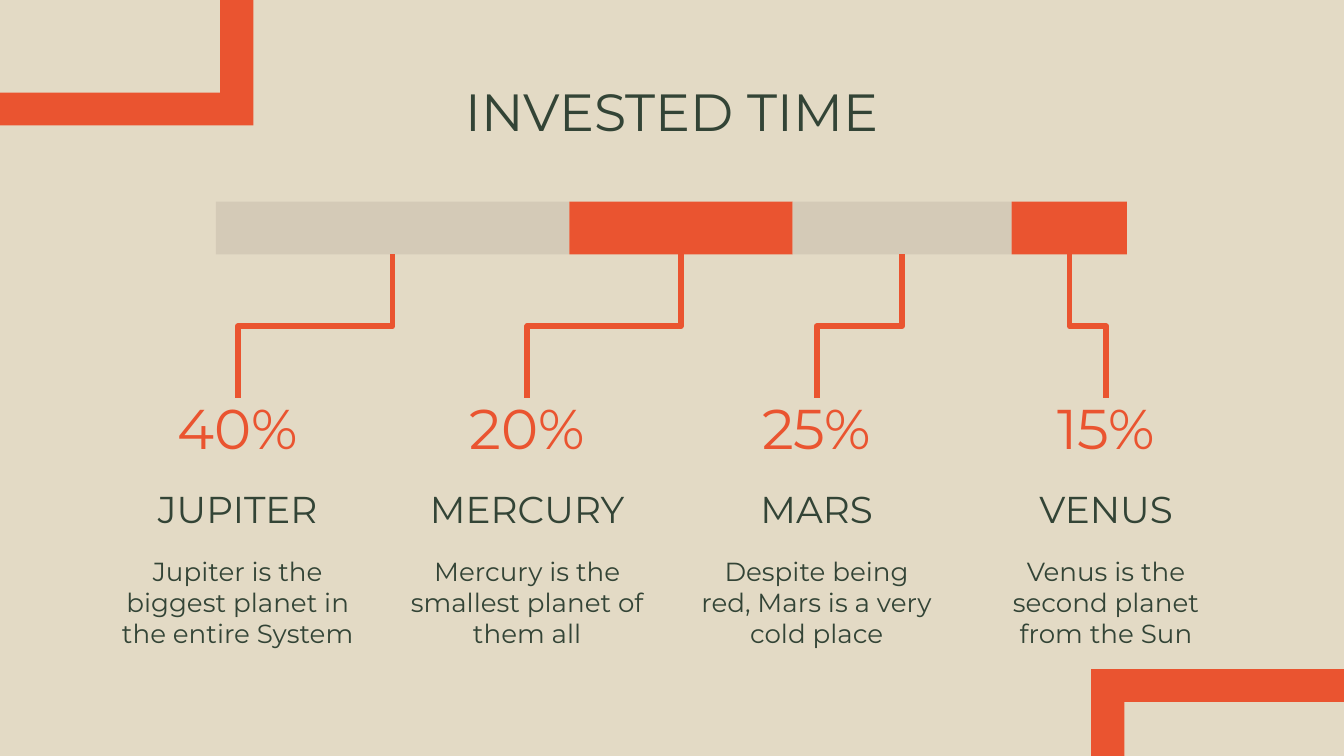
"""Build the "Invested time" slide: a segmented bar with four labelled shares."""
from lxml.etree import SubElement
from pptx import Presentation
from pptx.dml.color import RGBColor
from pptx.enum.shapes import MSO_CONNECTOR, MSO_SHAPE
from pptx.enum.text import MSO_ANCHOR, MSO_AUTO_SIZE, PP_ALIGN
from pptx.oxml.ns import qn
from pptx.util import Cm, Pt

COLORS = {"sand": "E3DAC5", "stone": "D4CAB7", "orange": "EA5430", "green": "334436"}
PAGE_WIDTH, PAGE_HEIGHT = 25.4, 14.29
BAR_LEFT, BAR_TOP, BAR_HEIGHT = 4.08, 3.81, 1
COLUMN_LEFT, COLUMN_WIDTH, COLUMN_PITCH = 1.98, 5.03, 5.47
SHARE_TOP, NAME_TOP, NOTE_TOP = 7.52, 9.17, 10.24
PLANETS = [
    ("40%", "JUPITER", "Jupiter is the biggest planet in the entire System", 6.68, "stone"),
    ("20%", "MERCURY", "Mercury is the smallest planet of them all", 4.22, "orange"),
    ("25%", "MARS", "Despite being red, Mars is a very cold place", 4.14, "stone"),
    ("15%", "VENUS", "Venus is the second planet from the Sun", 2.18, "orange"),
]


class SlideBuilder:
    def __init__(self, page, font="Montserrat"):
        self.page = page
        self.font = font
        fill = page.background.fill
        fill.solid()
        fill.fore_color.rgb = self.color("sand")

    def color(self, name):
        return RGBColor.from_string(COLORS[name])

    def paint(self, shape, color):
        shape.shadow.inherit = False
        shape.fill.solid()
        shape.fill.fore_color.rgb = self.color(color)
        shape.line.fill.background()

    def fill_text(self, box, text, size, color, anchor):
        frame = box.text_frame
        frame.word_wrap = True
        frame.auto_size = MSO_AUTO_SIZE.NONE
        frame.vertical_anchor = anchor
        frame.margin_left = frame.margin_right = Cm(0.25)
        frame.margin_top = frame.margin_bottom = Cm(0.25)
        paragraph = frame.paragraphs[0]
        paragraph.alignment = PP_ALIGN.CENTER
        span = paragraph.add_run()
        span.text = text
        span.font.name = self.font
        span.font.size = Pt(size)
        span.font.color.rgb = self.color(color)

    def title(self, text, left, top, width, height):
        box = self.page.shapes.title
        box.left, box.top, box.width, box.height = Cm(left), Cm(top), Cm(width), Cm(height)
        self.fill_text(box, text, 28, "green", MSO_ANCHOR.TOP)

    def text(self, text, left, top, height, size, color, anchor):
        box = self.page.shapes.add_textbox(Cm(left), Cm(top), Cm(COLUMN_WIDTH), Cm(height))
        self.fill_text(box, text, size, color, anchor)

    def segment(self, left, width, color):
        shape = self.page.shapes.add_shape(
            MSO_SHAPE.RECTANGLE, Cm(left), Cm(BAR_TOP), Cm(width), Cm(BAR_HEIGHT))
        self.paint(shape, color)

    def corner(self, edge, outer, inner):
        """Draw an L-shaped band between two slide edges."""
        (edge_x, edge_y), (outer_x, outer_y), (inner_x, inner_y) = edge, outer, inner
        points = [(edge_x, inner_y), (inner_x, inner_y), (inner_x, edge_y),
                  (outer_x, edge_y), (outer_x, outer_y), (edge_x, outer_y)]
        points = [(Cm(x), Cm(y)) for x, y in points]
        outline = self.page.shapes.build_freeform(*points[0])
        outline.add_line_segments(points[1:])
        self.paint(outline.convert_to_shape(), "orange")

    def elbow(self, start_x, start_y, end_x, end_y):
        """Draw a bent line that leaves and arrives vertically."""
        middle_x, middle_y = (start_x + end_x) / 2, (start_y + end_y) / 2
        half_drop, half_shift = (end_y - start_y) / 2, abs(end_x - start_x) / 2
        turn = 1 if end_x < start_x else -1
        connector = self.page.shapes.add_connector(
            MSO_CONNECTOR.ELBOW,
            Cm(middle_x - turn * half_drop), Cm(middle_y - half_shift),
            Cm(middle_x + turn * half_drop), Cm(middle_y + half_shift))
        connector.line.color.rgb = self.color("orange")
        connector.line.width = Pt(3)
        properties = connector.element.spPr
        properties.find(qn("a:xfrm")).set("rot", str(turn * 90 % 360 * 60000))
        SubElement(properties, qn("a:effectLst"))


def main():
    deck = Presentation()
    deck.slide_width, deck.slide_height = Cm(PAGE_WIDTH), Cm(PAGE_HEIGHT)
    builder = SlideBuilder(deck.slides.add_slide(deck.slide_layouts[5]))

    builder.corner((0, 0), (4.79, 2.37), (4.16, 1.75))
    builder.corner((PAGE_WIDTH, PAGE_HEIGHT), (20.62, 12.65), (21.25, 13.27))
    builder.title("INVESTED TIME", 2, 1.24, 21.4, 1.6)

    segment_left = BAR_LEFT
    for index, (share, name, note, width, color) in enumerate(PLANETS):
        left = COLUMN_LEFT + index * COLUMN_PITCH
        builder.segment(segment_left, width, color)
        builder.text(note, left, NOTE_TOP, 2.34, 14, "green", MSO_ANCHOR.TOP)
        builder.text(name, left, NAME_TOP, 1.12, 20, "green", MSO_ANCHOR.BOTTOM)
        builder.text(share, left, SHARE_TOP, 1.12, 30, "orange", MSO_ANCHOR.MIDDLE)
        builder.elbow(segment_left + width / 2, BAR_TOP + BAR_HEIGHT,
                      left + COLUMN_WIDTH / 2, SHARE_TOP)
        segment_left += width

    deck.save("out.pptx")


if __name__ == "__main__":
    main()
